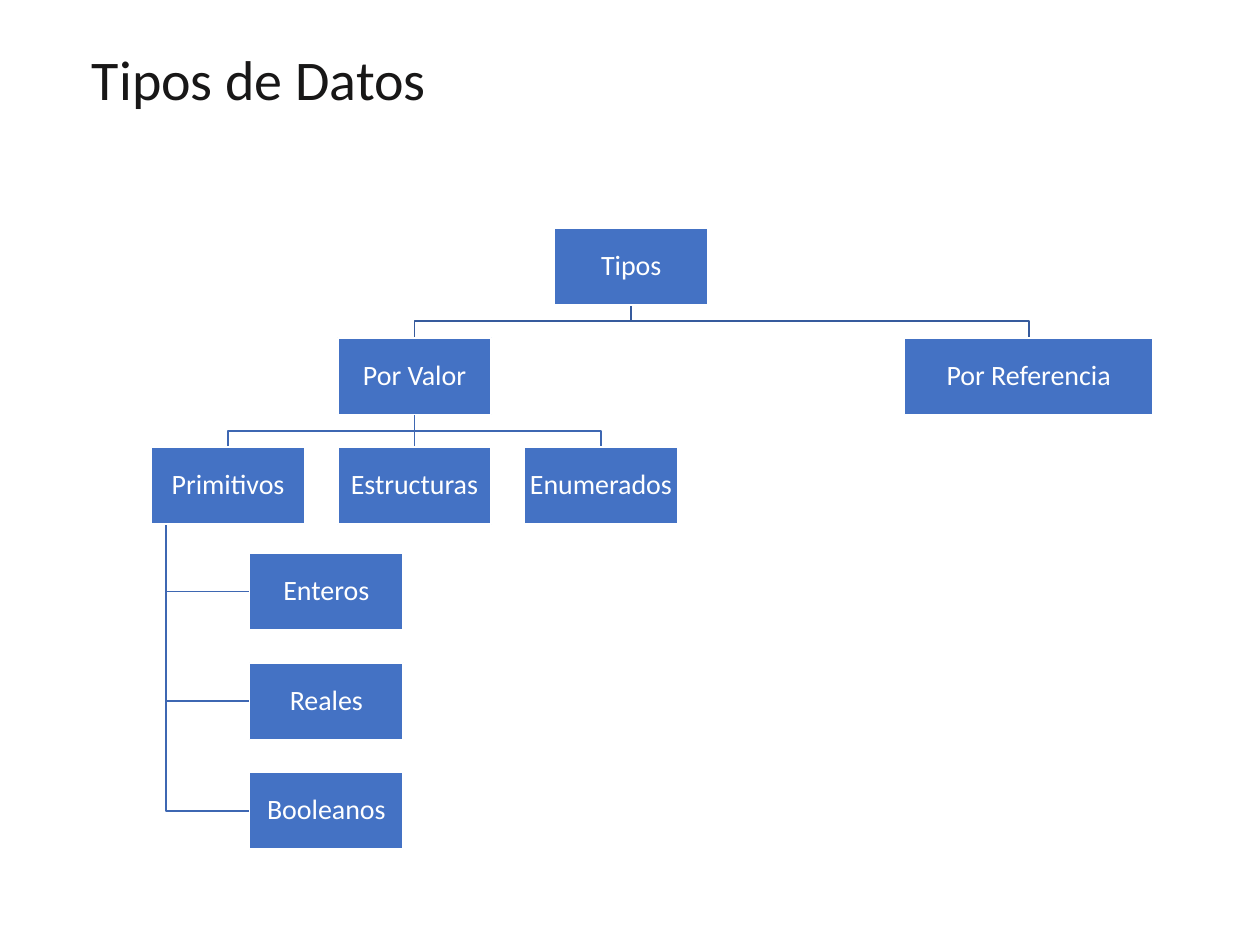
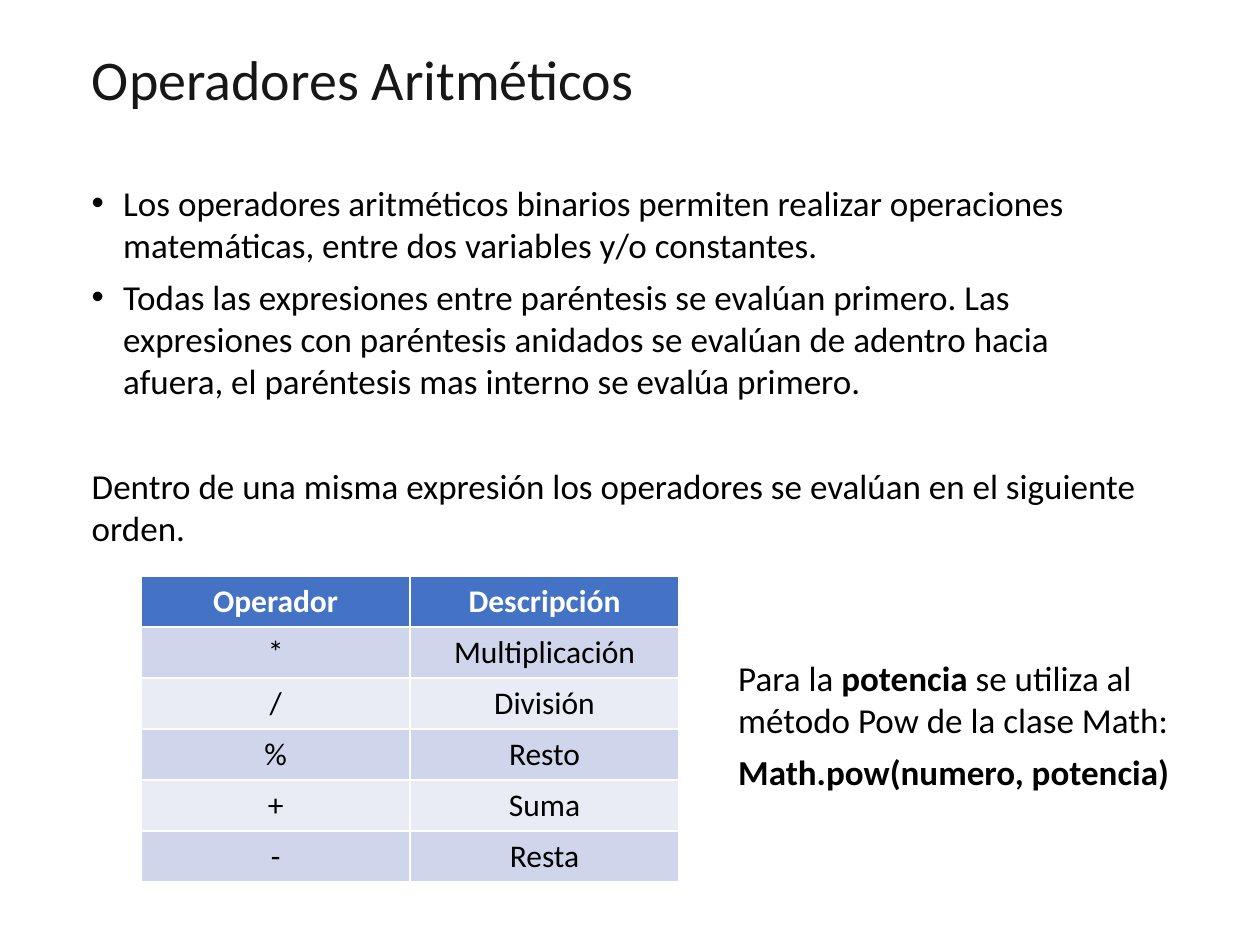
from lxml.etree import SubElement
from pptx import Presentation
from pptx.dml.color import RGBColor
from pptx.enum.shapes import MSO_CONNECTOR as Connector, MSO_SHAPE as Shape
from pptx.enum.text import MSO_ANCHOR as Anchor, MSO_AUTO_SIZE as AutoSize, PP_ALIGN as Align
from pptx.oxml.ns import qn
from pptx.util import Inches, Pt

FONT = "Calibri"
BLACK = "000000"
WHITE = "FFFFFF"
TITLE_COLOR = "181717"
BLUE = "4472C4"
ROOT_LINE = "365B9D"
BRANCH_LINE = "3E67B2"
BANDS = ("CFD5EA", "E9EBF5")

BOX_WIDTH, BOX_HEIGHT = 1.22, 0.61
LEVEL_TOP, LEVEL_STEP = 1.81, 0.87
COLUMN_LEFT, COLUMN_STEP = 1.2, 1.48
LEAF_LEFT, LEAF_TOP = 1.98, 4.39
TRUNK_LEFT = 1.32


def color(value):
    return RGBColor.from_string(value)


class Deck:
    def __init__(self):
        self.presentation = Presentation()
        self.presentation.slide_width = Inches(10)
        self.presentation.slide_height = Inches(7.5)
        self.slide = None

    def style(self, paragraph, size, text_color, bold=False, align=Align.LEFT):
        paragraph.alignment = align
        font = paragraph.font
        font.name = FONT
        font.size = Pt(size)
        font.bold = bold
        font.color.rgb = color(text_color)

    def add_slide(self, title, width):
        self.slide = self.presentation.slides.add_slide(self.presentation.slide_layouts[5])
        shape = self.slide.shapes.title
        shape.left, shape.top = Inches(0.63), Inches(0.3)
        shape.width, shape.height = Inches(width), Inches(0.64)
        frame = shape.text_frame
        frame.text = title
        frame.word_wrap = False
        frame.auto_size = AutoSize.NONE
        frame.vertical_anchor = Anchor.TOP
        self.style(frame.paragraphs[0], 32, TITLE_COLOR)

    def box(self, text, left, top, width):
        shape = self.slide.shapes.add_shape(
            Shape.RECTANGLE, Inches(left), Inches(top), Inches(width), Inches(BOX_HEIGHT))
        shape.shadow.inherit = False
        shape.fill.solid()
        shape.fill.fore_color.rgb = color(BLUE)
        shape.line.color.rgb = color(WHITE)
        shape.line.width = Pt(1)
        frame = shape.text_frame
        frame.text = text
        frame.margin_left = frame.margin_right = Inches(0.01)
        frame.margin_top = frame.margin_bottom = Inches(0.01)
        frame.vertical_anchor = Anchor.MIDDLE
        paragraph = frame.paragraphs[0]
        paragraph.line_spacing = 0.9
        self.style(paragraph, 16, WHITE, align=Align.CENTER)

    def line(self, points, line_color):
        start, *others = [(Inches(x), Inches(y)) for x, y in points]
        if len(others) == 1:
            shape = self.slide.shapes.add_connector(Connector.STRAIGHT, *start, *others[0])
            SubElement(shape.element.spPr, qn("a:effectLst"))
        else:
            builder = self.slide.shapes.build_freeform(*start)
            builder.add_line_segments(others, close=False)
            shape = builder.convert_to_shape()
            shape.fill.background()
            shape.shadow.inherit = False
        shape.line.color.rgb = color(line_color)
        shape.line.width = Pt(1)

    def text(self, paragraphs, left, top, width, height):
        frame = self.slide.shapes.add_textbox(
            Inches(left), Inches(top), Inches(width), Inches(height)).text_frame
        frame.word_wrap = True
        for index, (runs, space_before, bulleted) in enumerate(paragraphs):
            paragraph = frame.add_paragraph() if index else frame.paragraphs[0]
            paragraph.space_before = Pt(space_before)
            if bulleted:
                self.bullet(paragraph)
            self.style(paragraph, 20, BLACK)
            for content, bold in runs:
                run = paragraph.add_run()
                run.text = content
                if bold:
                    run.font.bold = True

    def bullet(self, paragraph):
        properties = paragraph._p.get_or_add_pPr()
        properties.set("marL", str(Inches(0.25)))
        properties.set("indent", str(Inches(-0.25)))
        SubElement(properties, qn("a:buFont"), typeface="Arial")
        SubElement(properties, qn("a:buChar"), char="•")

    def table(self, rows, left, top, width, height):
        table = self.slide.shapes.add_table(
            len(rows), len(rows[0]),
            Inches(left), Inches(top), Inches(width), Inches(height)).table
        for row_index, row in enumerate(rows):
            header = row_index == 0
            for column_index, content in enumerate(row):
                cell = table.cell(row_index, column_index)
                cell.text = content
                cell.fill.solid()
                cell.fill.fore_color.rgb = color(BLUE if header else BANDS[(row_index - 1) % 2])
                self.style(cell.text_frame.paragraphs[0], 18, WHITE if header else BLACK,
                           header, Align.CENTER)


def build_types(deck):
    deck.add_slide("Tipos de Datos", 2.88)
    root_top, kind_top, group_top = (LEVEL_TOP + LEVEL_STEP * level for level in range(3))
    columns = [COLUMN_LEFT + COLUMN_STEP * column for column in range(3)]
    root = ("Tipos", 4.4, root_top, BOX_WIDTH)
    by_value = ("Por Valor", columns[1], kind_top, BOX_WIDTH)
    by_reference = ("Por Referencia", 7.18, kind_top, 1.97)
    groups = [(name, left, group_top, BOX_WIDTH)
              for name, left in zip(("Primitivos", "Estructuras", "Enumerados"), columns)]
    leaves = [(name, LEAF_LEFT, LEAF_TOP + LEVEL_STEP * index, BOX_WIDTH)
              for index, name in enumerate(("Enteros", "Reales", "Booleanos"))]

    def branch(parent, child, line_color):
        start_x, end_x = (left + width / 2 for _, left, _, width in (parent, child))
        start_y, end_y = parent[2] + BOX_HEIGHT, child[2]
        middle = (start_y + end_y) / 2
        bends = [] if start_x == end_x else [(start_x, middle), (end_x, middle)]
        deck.line([(start_x, start_y), *bends, (end_x, end_y)], line_color)

    for kind in (by_reference, by_value):
        branch(root, kind, ROOT_LINE)
    for group in groups:
        branch(by_value, group, BRANCH_LINE)
    for _, left, top, _ in leaves:
        middle = top + BOX_HEIGHT / 2
        deck.line([(TRUNK_LEFT, group_top + BOX_HEIGHT), (TRUNK_LEFT, middle), (left, middle)],
                  BRANCH_LINE)
    for node in (root, by_value, by_reference, *groups, *leaves):
        deck.box(*node)


def build_operators(deck):
    deck.add_slide("Operadores Aritméticos", 4.55)
    deck.text([
        ([("Los operadores aritméticos binarios permiten realizar operaciones matemáticas, "
           "entre dos variables y/o constantes.", False)], 6, True),
        ([("Todas las expresiones entre paréntesis se evalúan primero. Las expresiones con "
           "paréntesis anidados se evalúan de adentro hacia afuera, el paréntesis mas interno "
           "se evalúa primero.", False)], 6, True),
        ([("Dentro de una misma expresión los operadores se evalúan en el siguiente orden.",
           False)], 36, False),
    ], 0.63, 1.39, 8.54, 3.01)
    deck.table([
        ("Operador", "Descripción"),
        ("*", "Multiplicación"),
        ("/", "División"),
        ("%", "Resto"),
        ("+", "Suma"),
        ("-", "Resta"),
    ], 1.12, 4.57, 4.27, 2.43)
    deck.text([
        ([("Para la ", False), ("potencia", True),
          (" se utiliza al método Pow de la clase Math:", False)], 6, False),
        ([("Math.pow(numero, potencia)", True)], 6, False),
    ], 5.76, 5.16, 3.75, 1.25)


def main():
    deck = Deck()
    build_types(deck)
    build_operators(deck)
    deck.presentation.save("out.pptx")


if __name__ == "__main__":
    main()
